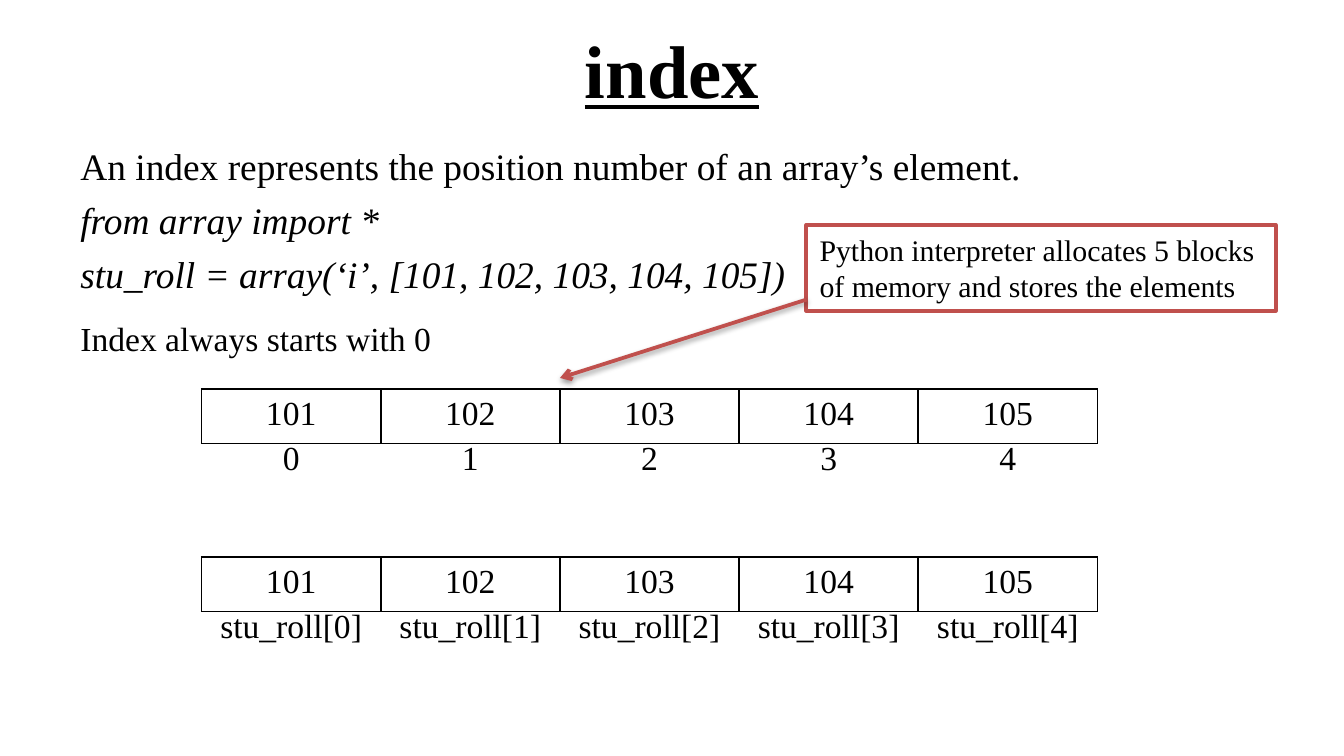
import pptx
import pptx.util
import pptx.dml.color
import pptx.enum.text
import pptx.enum.shapes
import pptx.oxml
import pptx.oxml.ns

Pt = pptx.util.Pt
MID = pptx.enum.text.PP_ALIGN.CENTER
NS = pptx.oxml.ns.nsdecls("a")


def tint(code):
    return pptx.dml.color.RGBColor.from_string(code)


def write(para, text, size):
    run = para.add_run()
    run.text = text
    run.font.name = "Times New Roman"
    run.font.size = Pt(size)
    run.font.color.rgb = tint("000000")
    return run


deck = pptx.Presentation()
deck.slide_width = Pt(720)
deck.slide_height = Pt(405)
slide = deck.slides.add_slide(deck.slide_layouts[5])
shapes = slide.shapes

title = shapes.title
title.left, title.top, title.width, title.height = Pt(36), Pt(3), Pt(648), Pt(67.5)
title.text_frame.vertical_anchor = pptx.enum.text.MSO_ANCHOR.MIDDLE
para = title.text_frame.paragraphs[0]
para.alignment = MID
run = write(para, "index", 40)
run.font.bold = True
run.font.underline = True

body = shapes.add_textbox(Pt(36), Pt(70.5), Pt(648), Pt(125)).text_frame
body.word_wrap = True
body.margin_top = Pt(6)
lines = [
    ("An index represents the position number of an array’s element.", False),
    ("from array import *", True),
    ("stu_roll = array(‘i’, [101, 102, 103, 104, 105])", True),
]
for num, (text, slant) in enumerate(lines):
    para = body.add_paragraph() if num else body.paragraphs[0]
    if num:
        para.space_before = Pt(5)
    write(para, text, 20).font.italic = slant

start = shapes.add_textbox(Pt(36), Pt(166.5), Pt(204), Pt(29)).text_frame
start.word_wrap = False
write(start.paragraphs[0], "Index always starts with 0", 18)

note = shapes.add_shape(
    pptx.enum.shapes.MSO_SHAPE.RECTANGLE, Pt(432), Pt(120.5), Pt(251.5), Pt(46))
note.shadow.inherit = False
note.fill.solid()
note.fill.fore_color.rgb = tint("FFFFFF")
note.line.color.rgb = tint("C0504D")
note.line.width = Pt(2)
note.text_frame.word_wrap = True
note.text_frame.vertical_anchor = pptx.enum.text.MSO_ANCHOR.TOP
para = note.text_frame.paragraphs[0]
para.alignment = pptx.enum.text.PP_ALIGN.LEFT
write(para, "Python interpreter allocates 5 blocks of memory and stores the elements", 16)

arrow = shapes.add_connector(
    pptx.enum.shapes.MSO_CONNECTOR.STRAIGHT, Pt(432), Pt(160.5), Pt(300), Pt(202.5))
arrow.line.color.rgb = tint("C0504D")
arrow.line.width = Pt(2)
arrow.line._get_or_add_ln().append(
    pptx.oxml.parse_xml(f'<a:tailEnd {NS} type="arrow"/>'))
arrow._element.spPr.append(pptx.oxml.parse_xml(
    f'<a:effectLst {NS}><a:outerShdw blurRad="{Pt(3.1)}" dist="{Pt(1.6)}" '
    'dir="5400000" rotWithShape="0"><a:srgbClr val="000000">'
    '<a:alpha val="38000"/></a:srgbClr></a:outerShdw></a:effectLst>'))

rolls = [str(101 + num) for num in range(5)]
spots = [str(num) for num in range(5)]
names = [f"stu_roll[{num}]" for num in range(5)]
solid = '<a:solidFill><a:srgbClr val="000000"/></a:solidFill>'
clear = "<a:noFill/>"
rows = [
    (208.5, rolls, solid),
    (232.5, spots, clear),
    (298.5, rolls, solid),
    (322.5, names, clear),
]
for top, texts, edge in rows:
    table = shapes.add_table(1, 5, Pt(108), Pt(top), Pt(480), Pt(29.2)).table
    table.first_row = False
    table.horz_banding = False
    for cell, text in zip(table.rows[0].cells, texts):
        cell.fill.background()
        para = cell.text_frame.paragraphs[0]
        para.alignment = MID
        write(para, text, 18)
        props = cell._tc.get_or_add_tcPr()
        for place, side in enumerate("LRTB"):
            props.insert(place, pptx.oxml.parse_xml(
                f'<a:ln{side} {NS} w="{Pt(1)}">{edge}</a:ln{side}>'))

deck.save("out.pptx")
